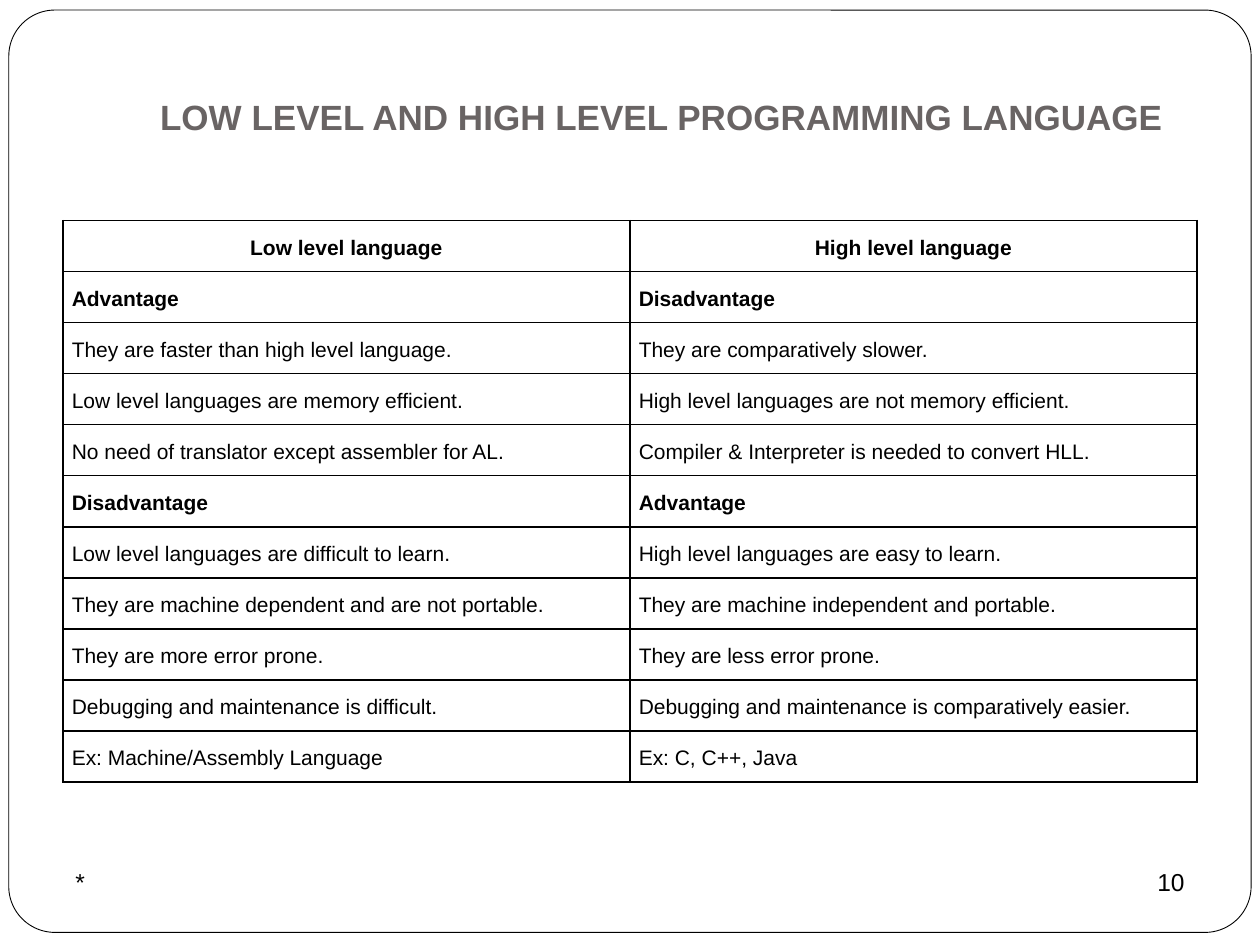
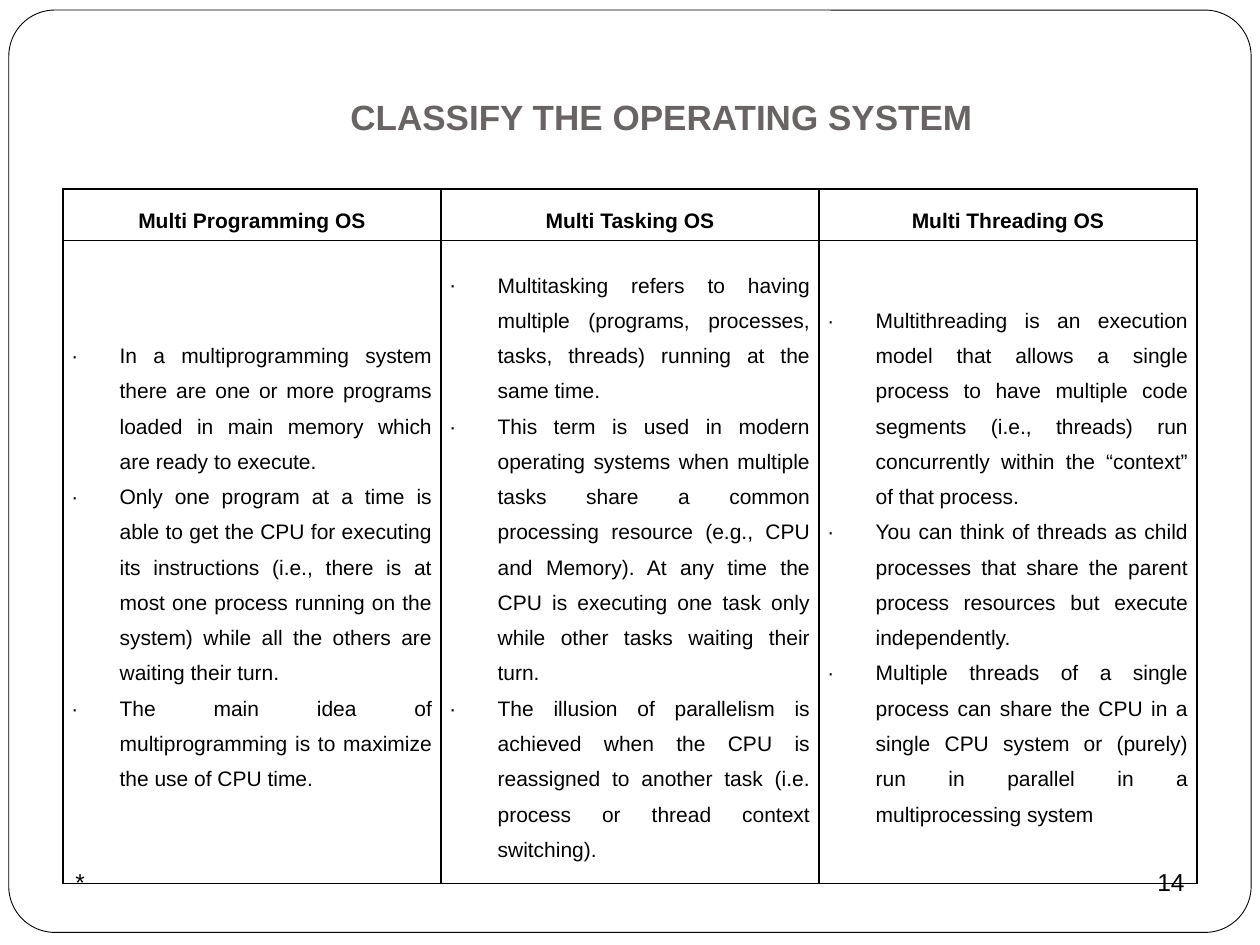
from lxml import etree
from pptx import Presentation
from pptx.dml.color import RGBColor
from pptx.enum.shapes import MSO_SHAPE
from pptx.enum.text import MSO_ANCHOR, PP_ALIGN
from pptx.oxml.ns import qn
from pptx.util import Pt

PX = 9144  # 100 px to the inch
FONT = "Arial"
COLORS = {"title": "696464", "text": "000000", "line": "000000", "paper": "FFFFFF"}
LEFT, CENTER, RIGHT, JUSTIFY = PP_ALIGN.LEFT, PP_ALIGN.CENTER, PP_ALIGN.RIGHT, PP_ALIGN.JUSTIFY
TOP, MIDDLE = MSO_ANCHOR.TOP, MSO_ANCHOR.MIDDLE
ROUND_RECT = MSO_SHAPE.ROUNDED_RECTANGLE
BORDER = Pt(1)
INDENT = 38 * PX

languages = [
    ("Low level language", "High level language"),
    ("Advantage", "Disadvantage"),
    ("They are faster than high level language.", "They are comparatively slower."),
    ("Low level languages are memory efficient.", "High level languages are not memory efficient."),
    ("No need of translator except assembler for AL.",
     "Compiler & Interpreter is needed to convert HLL."),
    ("Disadvantage", "Advantage"),
    ("Low level languages are difficult to learn.", "High level languages are easy to learn."),
    ("They are machine dependent and are not portable.",
     "They are machine independent and portable."),
    ("They are more error prone.", "They are less error prone."),
    ("Debugging and maintenance is difficult.",
     "Debugging and maintenance is comparatively easier."),
    ("Ex: Machine/Assembly Language", "Ex: C, C++, Java"),
]

systems = [
    ("Multi Programming OS", "Multi Tasking OS", "Multi Threading OS"),
    (
        "In a multiprogramming system there are one or more programs loaded in main memory "
        "which are ready to execute.\n"
        "Only one program at a time is able to get the CPU for executing its instructions "
        "(i.e., there is at most one process running on the system) while all the others are "
        "waiting their turn.\n"
        "The main idea of multiprogramming is to maximize the use of CPU time.",
        "Multitasking refers to having multiple (programs, processes, tasks, threads) running "
        "at the same time.\n"
        "This term is used in modern operating systems when multiple tasks share a common "
        "processing resource (e.g., CPU and Memory). At any time the CPU is executing one task "
        "only while other tasks waiting their turn.\n"
        "The illusion of parallelism is achieved when the CPU is reassigned to another task "
        "(i.e. process or thread context switching).",
        "Multithreading is an execution model that allows a single process to have multiple "
        "code segments (i.e., threads) run concurrently within the “context” of that process.\n"
        "You can think of threads as child processes that share the parent process resources "
        "but execute independently.\n"
        "Multiple threads of a single process can share the CPU in a single CPU system or "
        "(purely) run in parallel in a multiprocessing system",
    ),
]

# title, page number, rows, table top, table height, header height, line spacing, bold rows, bullets
slides = [
    ("LOW LEVEL AND HIGH LEVEL PROGRAMMING LANGUAGE", "10", languages,
     175, 446, None, 1.15, (0, 1, 5), False),
    ("CLASSIFY THE OPERATING SYSTEM", "14", systems,
     150, 551, 41, 1.5, (0,), True),
]


def add_text(s, text, x, y, w, h, size, align=LEFT, anchor=TOP, color="text", bold=False):
    tf = s.shapes.add_textbox(x * PX, y * PX, w * PX, h * PX).text_frame
    tf.word_wrap = True
    tf.vertical_anchor = anchor
    tf.text = text
    p = tf.paragraphs[0]
    p.alignment = align
    style_font(p.runs[0].font, size, color, bold)


def style_font(font, size, color, bold):
    font.name, font.size, font.bold = FONT, Pt(size), bold
    font.color.rgb = RGBColor.from_string(COLORS[color])


prs = Presentation()
prs.slide_width, prs.slide_height = 1000 * PX, 750 * PX

for title, number, rows, top, height, header, spacing, bold_rows, bullets in slides:
    s = prs.slides.add_slide(prs.slide_layouts[6])

    frame = s.shapes.add_shape(ROUND_RECT, 7 * PX, 8 * PX, 986 * PX, 732 * PX)
    frame.adjustments[0] = 0.05
    frame.shadow.inherit = False
    frame.fill.solid()
    frame.fill.fore_color.rgb = RGBColor.from_string(COLORS["paper"])
    frame.line.color.rgb = RGBColor.from_string(COLORS["line"])
    frame.line.width = Pt(0.5)

    add_text(s, title, 100, 30, 850, 125, 20, CENTER, MIDDLE, "title", True)

    table = s.shapes.add_table(len(rows), len(rows[0]), 50 * PX, top * PX,
                               900 * PX, height * PX).table
    table.first_row = table.horz_banding = False
    if header:
        table.rows[0].height = header * PX
        table.rows[1].height = (height - header) * PX

    for i, row in enumerate(rows):
        for j, text in enumerate(row):
            cell = table.cell(i, j)
            cell.vertical_anchor = MIDDLE
            cell.margin_left = cell.margin_right = 7 * PX
            cell.margin_top = cell.margin_bottom = 0
            tcPr = cell._tc.get_or_add_tcPr()
            for side in ("a:lnL", "a:lnR", "a:lnT", "a:lnB"):
                ln = etree.SubElement(tcPr, qn(side), w=str(BORDER))
                fill = etree.SubElement(ln, qn("a:solidFill"))
                etree.SubElement(fill, qn("a:srgbClr"), val=COLORS["line"])
            cell.fill.background()

            cell.text_frame.text = text
            for p in cell.text_frame.paragraphs:
                p.alignment = JUSTIFY if i else CENTER
                p.line_spacing = spacing
                if bullets and i:
                    pPr = p._p.get_or_add_pPr()
                    pPr.set("marL", str(INDENT))
                    pPr.set("indent", str(-INDENT))
                    color = etree.SubElement(pPr, qn("a:buClr"))
                    etree.SubElement(color, qn("a:srgbClr"), val=COLORS["text"])
                    etree.SubElement(pPr, qn("a:buFont"), typeface=FONT)
                    etree.SubElement(pPr, qn("a:buChar"), char="∙")
                style_font(p.runs[0].font, 12, "text", i in bold_rows)

    add_text(s, "*", 50, 683, 233, 52, 14)
    add_text(s, number, 717, 683, 233, 52, 14, RIGHT)

prs.save("out.pptx")
